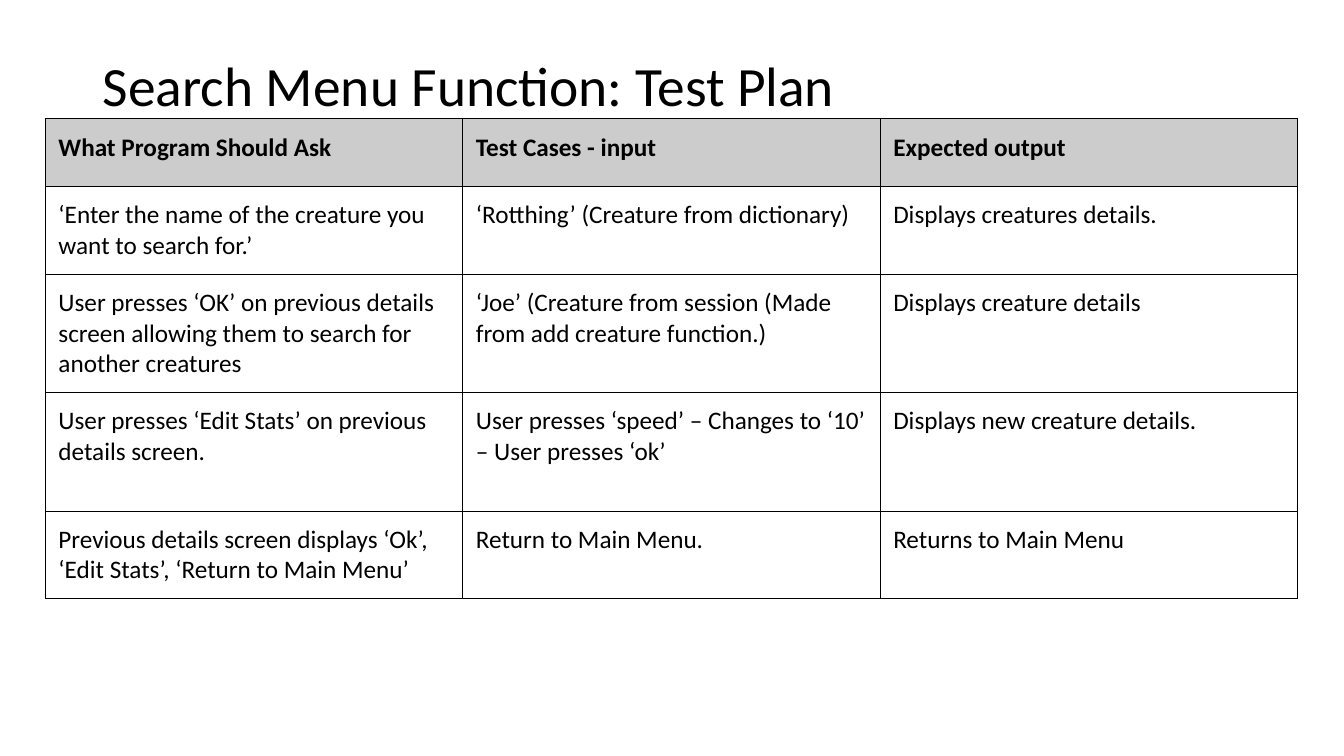
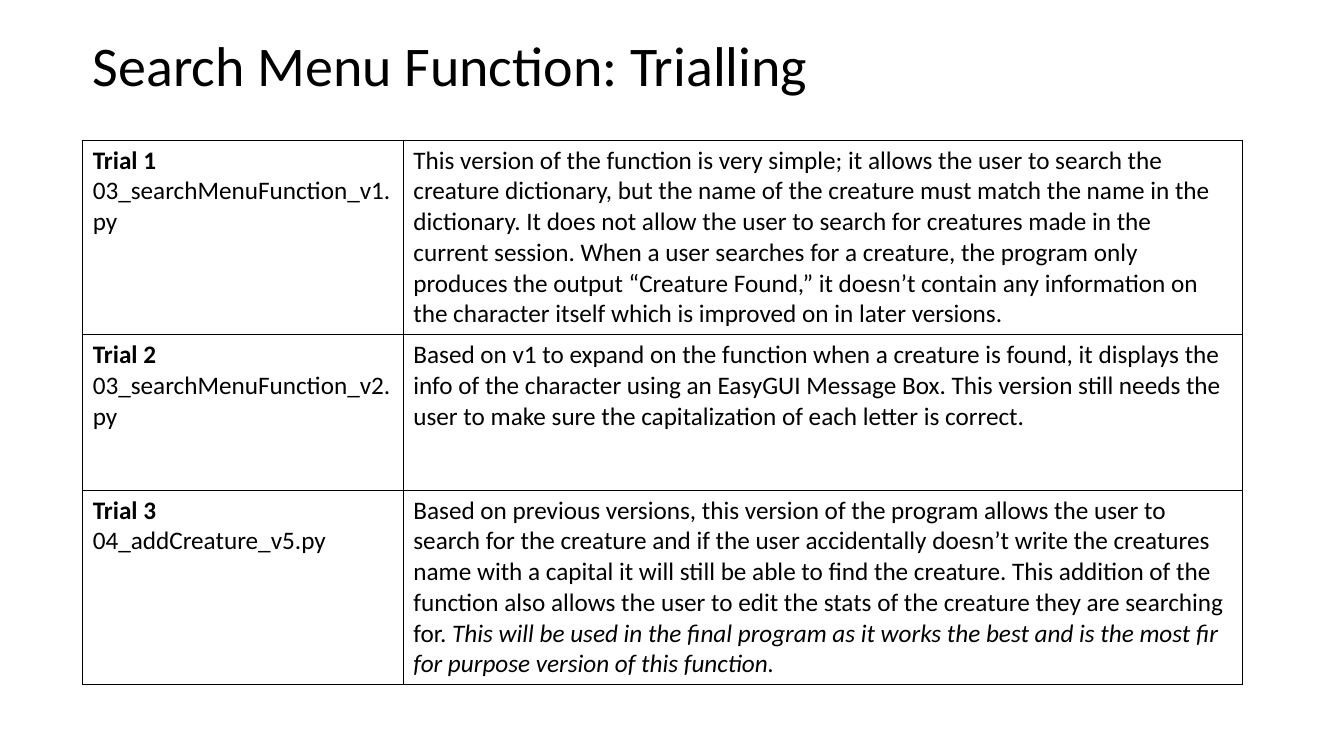
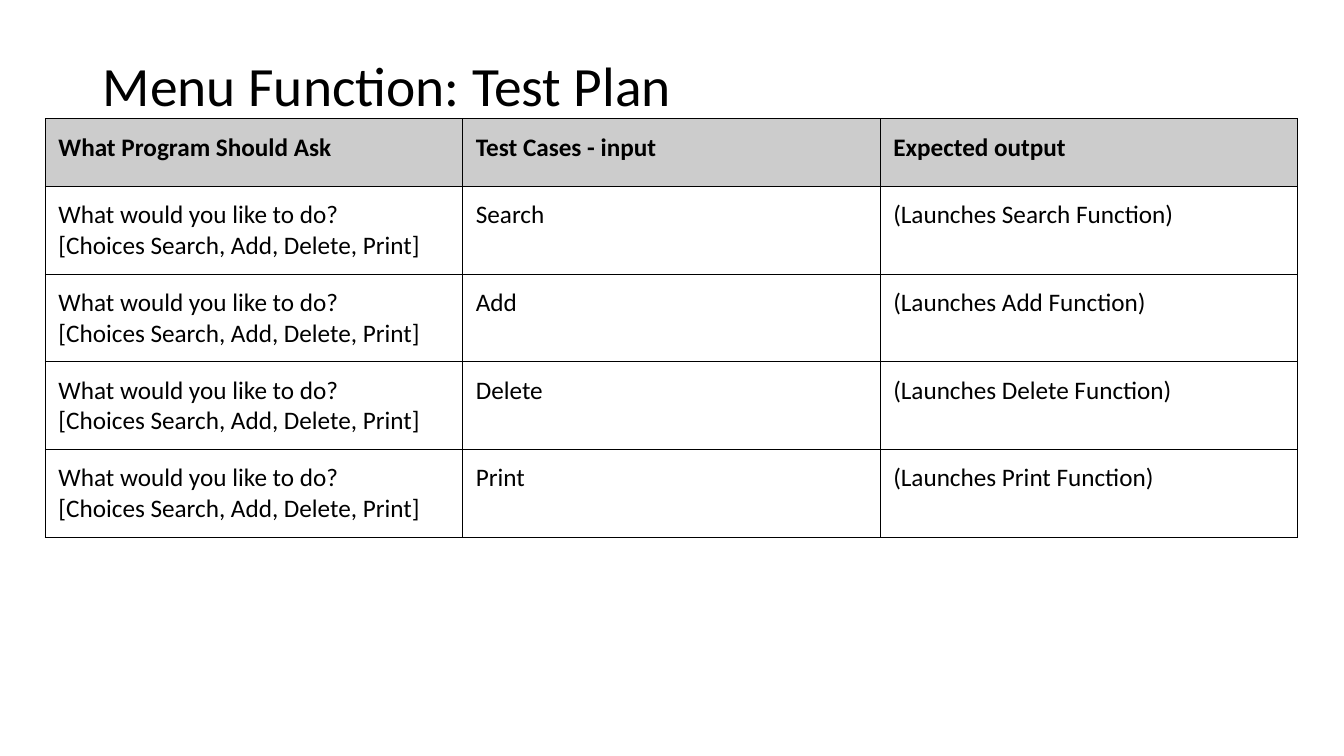
from lxml import etree
from pptx import Presentation
from pptx import util as u
from pptx.dml.color import RGBColor
from pptx.enum import text
from pptx.oxml.ns import qn

BLACK = RGBColor(0x00, 0x00, 0x00)
GREY = RGBColor(0xCC, 0xCC, 0xCC)
WHITE = RGBColor(0xFF, 0xFF, 0xFF)
FONT = "Calibri"
SIZE = 18
LINE = 1.22 * SIZE / 72  # height of one text line, inches
WIDE, HIGH = 13.33, 7.5
SPAN = 11.5  # width of every title


def write(par, runs, size):
    """Add (style, words) runs; style holds "b" for bold, "i" for italic."""
    for style, words in runs:
        run = par.add_run()
        run.text = words
        font = run.font
        font.name, font.size = FONT, u.Pt(size)
        font.bold, font.italic = "b" in style, "i" in style
        font.color.rgb = BLACK


def edge(cell):
    """Draw a thin black line on all four sides of a cell."""
    props = cell._tc.get_or_add_tcPr()
    for side in ("lnL", "lnR", "lnT", "lnB"):
        line = etree.SubElement(props, qn("a:" + side), w=str(u.Pt(0.75)))
        paint = etree.SubElement(line, qn("a:solidFill"))
        etree.SubElement(paint, qn("a:srgbClr"), val=str(BLACK))


# A cell is a list of paragraphs, a paragraph a list of runs.
HEAD = [[[[("b", name)]] for name in
         ("What Program Should Ask", "Test Cases - input", "Expected output")]]

search = [
    ("‘Enter the name of the creature you want to search for.’",
     "‘Rotthing’ (Creature from dictionary)",
     "Displays creatures details."),
    ("User presses ‘OK’ on previous details screen allowing them to search "
     "for another creatures",
     "‘Joe’ (Creature from session (Made from add creature function.)",
     "Displays creature details"),
    ("User presses ‘Edit Stats’ on previous details screen.",
     "User presses ‘speed’ – Changes to ‘10’ – User presses ‘ok’",
     "Displays new creature details."),
    ("Previous details screen displays ‘Ok’, ‘Edit Stats’, "
     "‘Return to Main Menu’",
     "Return to Main Menu.",
     "Returns to Main Menu"),
]
menu = [("What would you like to do?\n[Choices Search, Add, Delete, Print]",
         pick, f"(Launches {pick} Function)")
        for pick in ("Search", "Add", "Delete", "Print")]
tests = [HEAD + [[[[("", words)] for words in cell.split("\n")] for cell in row]
                 for row in plan] for plan in (search, menu)]

trials = [
    ("03_searchMenuFunction_v1.py", [
        ("", "This version of the function is very simple; it allows the user "
             "to search the creature dictionary, but the name of the creature "
             "must match the name in the dictionary. It does not allow the "
             "user to search for creatures made in the current session. When "
             "a user searches for a creature, the program only produces the "
             "output “Creature Found,” it doesn’t contain any information on "
             "the character itself which is improved on in later versions.")]),
    ("03_searchMenuFunction_v2.py", [
        ("", "Based on v1 to expand on the function when a creature is found, "
             "it displays the info of the character using an EasyGUI Message "
             "Box. This version still needs the user to make sure the "
             "capitalization of each letter is correct.")]),
    ("04_addCreature_v5.py", [
        ("", "Based on previous versions, this version of the program allows "
             "the user to search for the creature and if the user accidentally "
             "doesn’t write the creatures name with a capital it will still be "
             "able to find the creature. This addition of the function also "
             "allows the user to edit the stats of the creature they are "
             "searching for. "),
        ("i", "This will be used in the final program as it works the best "
              "and is the most fir for purpose version of this function.")]),
]
trial = [[[[("b", f"Trial {num}")], [("", file)]], [notes]]
         for num, (file, notes) in enumerate(trials, 1)]

# Title place and size, table place, columns, insets, least row height.
PLAN = dict(box=(0.92, 0.57, 0.62), size=39.6, spot=(0.45, 1.18),
            cols=[4.14] * 3, pad=(0.13, 0.13), least=0.67)
TRIAL = dict(box=(0.82, 0.24, 0.88), size=40, spot=(0.82, 1.39),
             cols=[3.18, SPAN - 3.18], pad=(0.1, 0.05), least=1.54)

# Name, style, rows, text lines that each row has room for.
pages = [
    ("Search Menu Function: Test Plan", PLAN, tests[0], [1, 2, 3, 3, 2]),
    ("Search Menu Function: Trialling", TRIAL, trial, [6, 3, 6]),
    ("Menu Function: Test Plan", PLAN, tests[1], [1, 2, 2, 2, 2]),
]

deck = Presentation()
deck.slide_width, deck.slide_height = u.Inches(WIDE), u.Inches(HIGH)

for name, look, rows, lines in pages:
    slide = deck.slides.add_slide(deck.slide_layouts[5])
    title = slide.shapes.title
    left, top, tall = look["box"]
    title.left, title.top = u.Inches(left), u.Inches(top)
    title.width, title.height = u.Inches(SPAN), u.Inches(tall)
    frame = title.text_frame
    frame.auto_size = text.MSO_AUTO_SIZE.NONE
    frame.vertical_anchor = text.MSO_ANCHOR.MIDDLE
    par = frame.paragraphs[0]
    par.alignment, par.line_spacing = text.PP_ALIGN.LEFT, 0.9
    write(par, [("", name)], look["size"])

    side, rise = look["pad"]
    cols = look["cols"]
    deep = [max(look["least"], 2 * rise + LINE * n) for n in lines]
    left, top = look["spot"]
    grid = slide.shapes.add_table(
        len(rows), len(cols), u.Inches(left), u.Inches(top),
        u.Inches(sum(cols)), u.Inches(sum(deep))).table
    grid.first_row = grid.horz_banding = False
    for col, wide in zip(grid.columns, cols):
        col.width = u.Inches(wide)
    for r, row in enumerate(rows):
        grid.rows[r].height = u.Inches(deep[r])
        for c, paras in enumerate(row):
            cell = grid.cell(r, c)
            cell.margin_left = cell.margin_right = u.Inches(side)
            cell.margin_top = cell.margin_bottom = u.Inches(rise)
            edge(cell)
            cell.fill.solid()
            cell.fill.fore_color.rgb = GREY if row is HEAD[0] else WHITE
            frame = cell.text_frame
            for p, runs in enumerate(paras):
                par = frame.add_paragraph() if p else frame.paragraphs[0]
                write(par, runs, SIZE)

deck.save("out.pptx")
